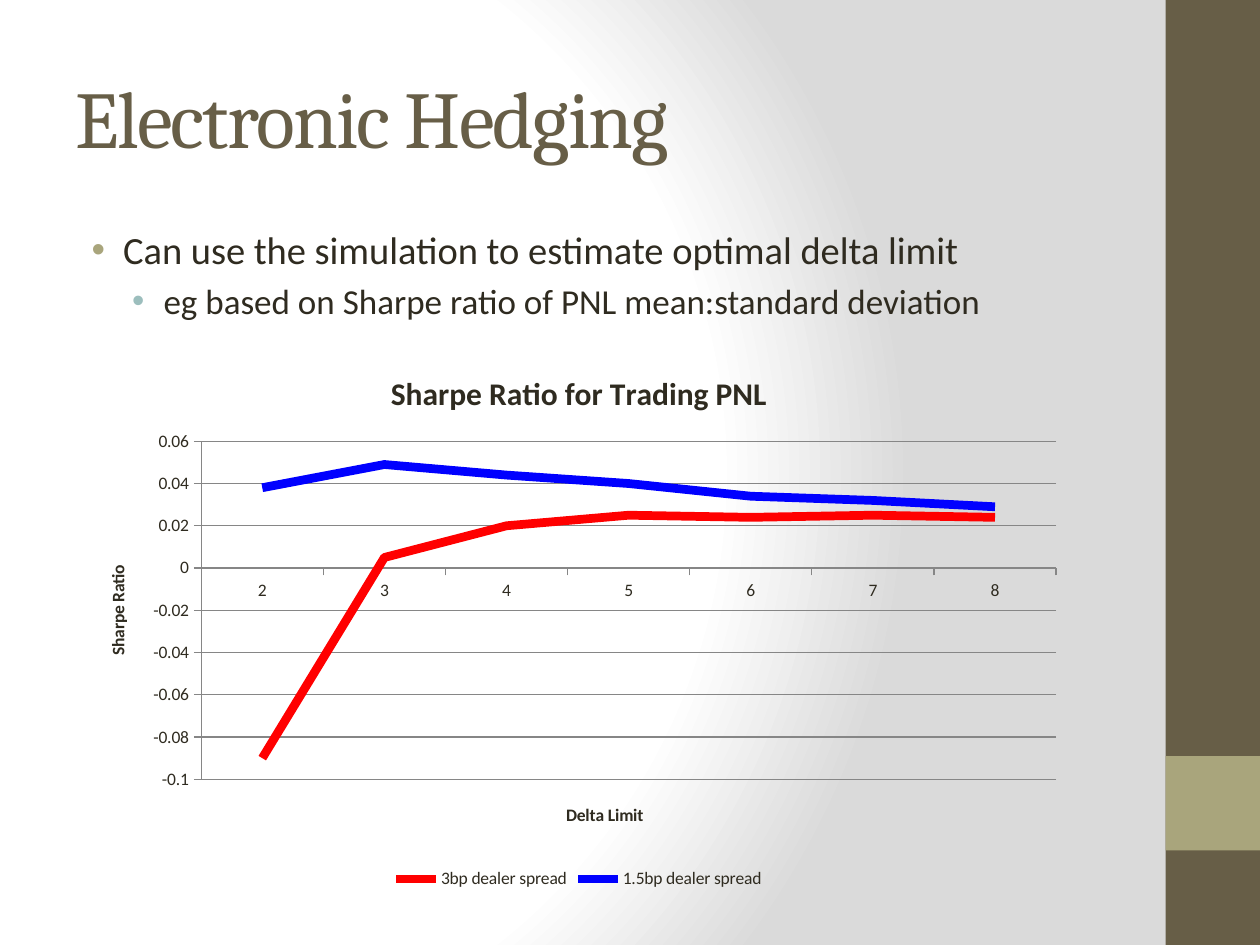
from dataclasses import dataclass

from lxml.etree import SubElement
from pptx import Presentation
from pptx.chart.data import CategoryChartData
from pptx.dml.color import RGBColor
from pptx.enum.chart import XL_CHART_TYPE as ChartType
from pptx.enum.chart import XL_LEGEND_POSITION as LegendPosition
from pptx.enum.chart import XL_TICK_MARK as TickMark
from pptx.enum.shapes import MSO_SHAPE as ShapeType
from pptx.enum.text import MSO_ANCHOR as Anchor
from pptx.oxml import parse_xml
from pptx.oxml.ns import nsdecls, qn
from pptx.util import Inches, Pt

WIDTH, HEIGHT = Inches(10), Inches(7.5)


@dataclass(frozen=True)
class Theme:
    heading_font: str = "Cambria"
    body_font: str = "Calibri"
    brown: str = "675E47"
    olive: str = "A9A57C"
    teal: str = "9CBEBD"
    ink: str = "2F2B20"
    grid: str = "868686"
    white: str = "FFFFFF"
    grey: str = "DADADA"
    red: str = "FF0000"
    blue: str = "0000FF"
    title_size: int = 46
    bullet_sizes: tuple = (22, 20)
    chart_title_size: int = 18
    chart_size: int = 10
    series_width: int = 5


THEME = Theme()


def place(left, top, width, height):
    """Turn shares of the slide into a position and size."""
    return (int(WIDTH * left), int(HEIGHT * top),
            int(WIDTH * width), int(HEIGHT * height))


def style_font(font, size, color, name=THEME.body_font, bold=False):
    font.size, font.name, font.bold = Pt(size), name, bold
    font.color.rgb = RGBColor.from_string(color)


def set_line(line, color, width):
    line.color.rgb = RGBColor.from_string(color)
    line.width = Pt(width)


# Background and side band
def add_background(slide):
    fill = slide.background.fill
    fill.solid()
    stops = "".join(
        f'<a:gs pos="{share * 1000}"><a:srgbClr val="{color}"/></a:gs>'
        for share, color in ((0, THEME.white), (75, THEME.white), (100, THEME.grey)))
    gradient = parse_xml(
        f'<a:gradFill {nsdecls("a")} rotWithShape="1"><a:gsLst>{stops}</a:gsLst>'
        '<a:path path="circle"><a:fillToRect l="20000" t="50000" r="100000" '
        'b="50000"/></a:path></a:gradFill>')
    solid = next(slide.element.iter(qn("a:solidFill")))
    solid.getparent().replace(solid, gradient)


def add_block(slide, box, color):
    shape = slide.shapes.add_shape(ShapeType.RECTANGLE, *box)
    shape.shadow.inherit = False
    shape.fill.solid()
    shape.fill.fore_color.rgb = RGBColor.from_string(color)
    shape.line.fill.background()


# Text
def add_text_frame(slide, box, anchor):
    frame = slide.shapes.add_textbox(*box).text_frame
    frame.word_wrap = True
    frame.vertical_anchor = anchor
    return frame


def add_title(slide, box, text):
    paragraph = add_text_frame(slide, box, Anchor.MIDDLE).paragraphs[0]
    run = paragraph.add_run()
    run.text = text
    style_font(run.font, THEME.title_size, THEME.brown, THEME.heading_font)
    run.font._element.set("spc", "-100")


def add_bullets(slide, box, items):
    frame = add_text_frame(slide, box, Anchor.TOP)
    indents, colors = (0.38, 0.7), (THEME.olive, THEME.teal)
    for index, (level, text) in enumerate(items):
        paragraph = frame.add_paragraph() if index else frame.paragraphs[0]
        paragraph.text, paragraph.level = text, level
        size = THEME.bullet_sizes[level]
        style_font(paragraph.font, size, THEME.ink)
        paragraph.space_before = Pt(size * 0.2)
        properties = paragraph._p.get_or_add_pPr()
        properties.set("marL", str(Inches(indents[level])))
        properties.set("indent", str(Inches(-0.25)))
        bullet = parse_xml(f'<a:buChar {nsdecls("a")} char="•"/>')
        color = parse_xml(f'<a:buClr {nsdecls("a")}>'
                          f'<a:srgbClr val="{colors[level]}"/></a:buClr>')
        font = parse_xml(f'<a:buFont {nsdecls("a")} typeface="Arial"/>')
        run_defaults = properties.find(qn("a:defRPr"))
        for part in (color, font, bullet):
            run_defaults.addprevious(part)


# Chart
def set_chart_title(owner, text, size):
    frame = (owner.chart_title if hasattr(owner, "chart_title")
             else owner.axis_title).text_frame
    frame.text = text
    style_font(frame.paragraphs[0].runs[0].font, size, THEME.ink, bold=True)


def set_plot_area(chart, **shares):
    plot_area = chart._chartSpace.chart.plotArea
    layout = plot_area.find(qn("c:layout"))
    if layout is None:
        layout = parse_xml(f'<c:layout {nsdecls("c")}/>')
        plot_area.insert(0, layout)
    manual = SubElement(layout, qn("c:manualLayout"))
    settings = {"layoutTarget": "inner", "xMode": "edge", "yMode": "edge", **shares}
    for name, value in settings.items():
        SubElement(manual, qn(f"c:{name}")).set("val", str(value))


def add_line_chart(slide, box, title, categories, series, axis_titles):
    data = CategoryChartData()
    data.categories = categories
    for name, _, values in series:
        data.add_series(name, values)
    chart = slide.shapes.add_chart(ChartType.LINE, *box, data).chart
    style_font(chart.font, THEME.chart_size, THEME.ink)
    set_chart_title(chart, title, THEME.chart_title_size)
    chart.has_legend = True
    chart.legend.position = LegendPosition.BOTTOM
    chart.legend.include_in_layout = False

    for axis, text in zip((chart.category_axis, chart.value_axis), axis_titles):
        set_chart_title(axis, text, THEME.chart_size)
        axis.major_tick_mark = TickMark.OUTSIDE
        axis.minor_tick_mark = TickMark.NONE
        set_line(axis.format.line, THEME.grid, 0.75)
    axis = chart.value_axis
    axis.minimum_scale, axis.maximum_scale, axis.major_unit = -0.1, 0.06, 0.02
    axis.has_major_gridlines = True
    set_line(axis.major_gridlines.format.line, THEME.grid, 0.75)

    for line, (_, color, _) in zip(chart.plots[0].series, series):
        line.smooth = False
        set_line(line.format.line, color, THEME.series_width)
    set_plot_area(chart, x=0.12, y=0.17, w=0.86, h=0.62)


def main():
    presentation = Presentation()
    presentation.slide_width, presentation.slide_height = WIDTH, HEIGHT
    slide = presentation.slides.add_slide(presentation.slide_layouts[6])

    add_background(slide)
    add_block(slide, place(0.925, 0, 0.075, 1), THEME.brown)
    add_block(slide, place(0.925, 0.8, 0.075, 0.1), THEME.olive)
    add_title(slide, place(0.05, 0.04, 0.833, 0.167), "Electronic Hedging")
    add_bullets(slide, place(0.05, 0.233, 0.833, 0.7), (
        (0, "Can use the simulation to estimate optimal delta limit"),
        (1, "eg based on Sharpe ratio of PNL mean:standard deviation")))
    add_line_chart(
        slide, place(0.065, 0.369, 0.789, 0.577), "Sharpe Ratio for Trading PNL",
        [str(limit) for limit in range(2, 9)],
        (("3bp dealer spread", THEME.red,
          (-0.09, 0.005, 0.02, 0.025, 0.024, 0.025, 0.024)),
         ("1.5bp dealer spread", THEME.blue,
          (0.038, 0.049, 0.044, 0.04, 0.034, 0.032, 0.029))),
        ("Delta Limit", "Sharpe Ratio"))
    presentation.save("out.pptx")


main()
